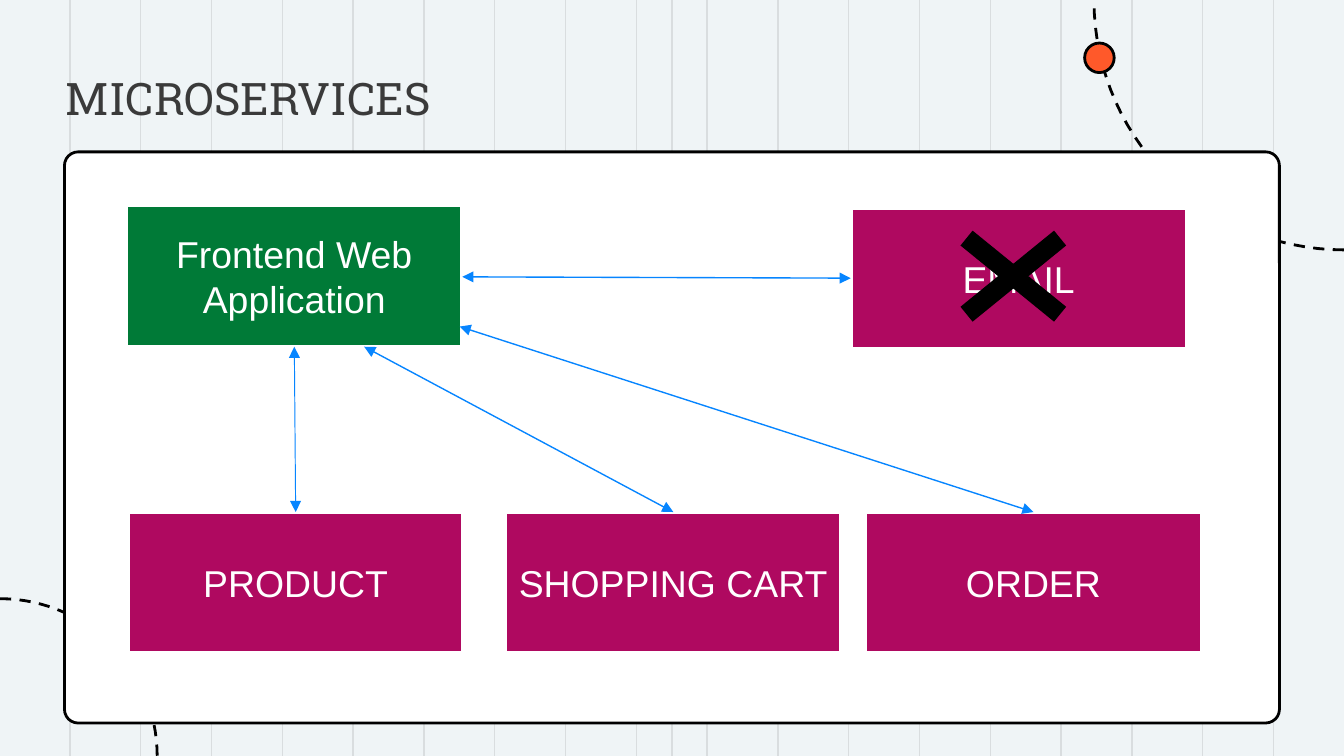
import math

import pptx
import pptx.dml.color
import pptx.enum.dml
import pptx.enum.shapes
import pptx.enum.text
import pptx.oxml.ns
import pptx.util
from lxml import etree

Inches = pptx.util.Inches
Pt = pptx.util.Pt
MSO_SHAPE = pptx.enum.shapes.MSO_SHAPE
qn = pptx.oxml.ns.qn
COLORS = {
    name: pptx.dml.color.RGBColor.from_string(value)
    for name, value in {
        "background": "EFF4F6", "grid": "D9DDDF", "black": "000000",
        "white": "FFFFFF", "orange": "FF592A", "title": "3A3A3A",
        "green": "007A37", "magenta": "AF0960", "arrow": "0685FF",
    }.items()
}


def add_line(x1, y1, x2, y2, color, width):
    line = s.shapes.add_connector(
        pptx.enum.shapes.MSO_CONNECTOR.STRAIGHT,
        Inches(x1), Inches(y1), Inches(x2), Inches(y2))
    line.line.color.rgb = COLORS[color]
    line.line.width = Pt(width)
    etree.SubElement(line.element.spPr, qn("a:effectLst"))
    return line


def add_box(shape, x, y, w, h, fill, outline=None, width=1.5):
    sp = s.shapes.add_shape(shape, Inches(x), Inches(y), Inches(w), Inches(h))
    sp.shadow.inherit = False
    sp.fill.solid()
    sp.fill.fore_color.rgb = COLORS[fill]
    if outline:
        sp.line.color.rgb = COLORS[outline]
        sp.line.width = Pt(width)
    else:
        sp.line.fill.background()
    return sp


slide_height = 10 * 9 / 16
prs = pptx.Presentation()
prs.slide_width = Inches(10)
prs.slide_height = Inches(slide_height)
s = prs.slides.add_slide(prs.slide_layouts[5])
s.background.fill.solid()
s.background.fill.fore_color.rgb = COLORS["background"]

grid_step = (9.475 - 0.52) / 17
for x in [0.52 + i * grid_step for i in range(18)] + [5]:
    add_line(x, 0, x, slide_height, "grid", 0.75)

for cx, cy, radius, start in [(0, slide_height, 1.17, -90), (10, 0, 1.86, 90)]:
    angles = [math.radians(start + 3 * i) for i in range(31)]
    points = [(Inches(cx + radius * math.cos(a)), Inches(cy + radius * math.sin(a)))
              for a in angles]
    builder = s.shapes.build_freeform(*points[0])
    builder.add_line_segments(points[1:], close=False)
    arc = builder.convert_to_shape()
    arc.shadow.inherit = False
    arc.fill.background()
    arc.line.color.rgb = COLORS["black"]
    arc.line.width = Pt(1.5)
    arc.line.dash_style = pptx.enum.dml.MSO_LINE.DASH

panel = add_box(MSO_SHAPE.ROUNDED_RECTANGLE, 0.48, 1.13, 9.04, 4.25, "white", "black")
panel.adjustments[0] = 0.024
add_box(MSO_SHAPE.OVAL, 8.07, 0.32, 0.22, 0.22, "orange", "black")

title = s.shapes.title
s.shapes.element.append(title.element)
title.left, title.top = Inches(0.39), Inches(0.41)
title.width, title.height = Inches(9.34), Inches(0.63)
tf = title.text_frame
tf.text = "MICROSERVICES"
tf.margin_left = tf.margin_right = tf.margin_top = tf.margin_bottom = Inches(0.1)
tf.vertical_anchor = pptx.enum.text.MSO_ANCHOR.MIDDLE
p = tf.paragraphs[0]
p.alignment = pptx.enum.text.PP_ALIGN.LEFT
r = p.runs[0]
r.font.name = "Roboto Slab"
r.font.size = Pt(24)
r.font.color.rgb = COLORS["title"]

services = [
    ("Frontend Web Application", 0.94, 1.53, "green", 2),
    ("PRODUCT", 0.95, 3.81, "magenta", 2.25),
    ("SHOPPING CART", 3.76, 3.81, "magenta", 2),
    ("ORDER", 6.44, 3.81, "magenta", 2),
    ("EMAIL", 6.33, 1.55, "magenta", 2),
]
for name, x, y, fill, width in services:
    sp = add_box(MSO_SHAPE.RECTANGLE, x, y, 2.5, 1.05, fill, "white", width)
    tf = sp.text_frame
    tf.text = name
    tf.word_wrap = True
    tf.margin_left = tf.margin_right = Inches(0.05)
    tf.vertical_anchor = pptx.enum.text.MSO_ANCHOR.MIDDLE
    p = tf.paragraphs[0]
    p.alignment = pptx.enum.text.PP_ALIGN.CENTER
    r = p.runs[0]
    r.font.name = "Arial"
    r.font.size = Pt(20)
    r.font.color.rgb = COLORS["white"]

cross = add_box(MSO_SHAPE.MATH_MULTIPLY, 6.87, 1.51, 1.34, 1.09, "black")
cross.adjustments[0] = 0.131

arrows = [
    (2.19, 2.58, 2.2, 3.81, 0.5),
    (2.71, 2.58, 5.01, 3.81, 0.75),
    (3.42, 2.43, 7.69, 3.81, 0.75),
    (3.44, 2.06, 6.33, 2.07, 0.75),
]
for x1, y1, x2, y2, width in arrows:
    arrow = add_line(x1, y1, x2, y2, "arrow", width)
    ln = arrow.element.spPr.find(qn("a:ln"))
    for end in ("a:headEnd", "a:tailEnd"):
        etree.SubElement(ln, qn(end), type="triangle")

prs.save("out.pptx")
